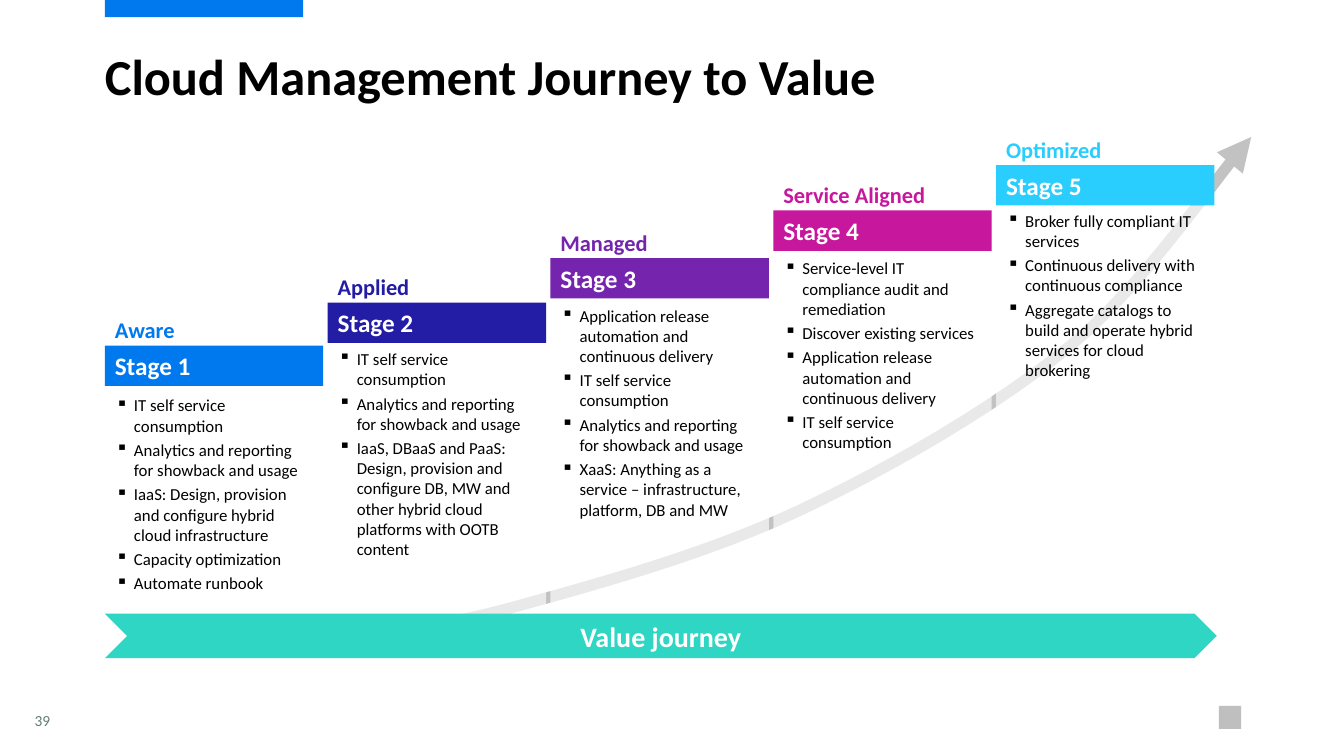
from dataclasses import dataclass

from lxml.etree import SubElement
from pptx import Presentation
from pptx.dml.color import RGBColor
from pptx.enum.shapes import MSO_SHAPE as Shape
from pptx.enum.text import MSO_ANCHOR as Anchor, PP_ALIGN as Align
from pptx.oxml.ns import qn
from pptx.util import Inches, Pt

WIDTH, HEIGHT = 13.33, 7.5
MARGIN, COLUMN, ROW = 1.04, 2.21, 0.45
STAGE_WIDTH = 0.98
BAR_HEIGHT = 0.89
BODY_BOTTOM = 14.02
BLUE, GREY = "0079EF", "BFBFBF"


@dataclass(frozen=True)
class Area:
    """A place on the grid, in columns from the margin and rows from the top."""
    column: float
    row: float
    columns: float
    rows: float

    def box(self) -> tuple:
        return (Inches(MARGIN + self.column * COLUMN), Inches(self.row * ROW),
                Inches(self.columns * COLUMN), Inches(self.rows * ROW))


@dataclass(frozen=True)
class Stage:
    name: str
    color: str
    bar_row: float
    body_row: float
    points: tuple[str, ...]


STAGES = (
    Stage("Aware", BLUE, 7.62, 8.6, (
        "IT self service consumption",
        "Analytics and reporting for showback and usage",
        "IaaS: Design, provision and configure hybrid cloud infrastructure",
        "Capacity optimization",
        "Automate runbook")),
    Stage("Applied", "231CA5", 6.67, 7.58, (
        "IT self service consumption",
        "Analytics and reporting for showback and usage",
        "IaaS, DBaaS and PaaS: Design, provision and configure DB, MW and "
        "other hybrid cloud platforms with OOTB content")),
    Stage("Managed", "7424AD", 5.69, 6.62, (
        "Application release automation and continuous delivery",
        "IT self service consumption",
        "Analytics and reporting for showback and usage",
        "XaaS: Anything as a service – infrastructure, platform, DB and MW")),
    Stage("Service Aligned", "C6179D", 4.64, 5.58, (
        "Service-level IT compliance audit and remediation",
        "Discover existing services",
        "Application release automation and continuous delivery",
        "IT self service consumption")),
    Stage("Optimized", "29CEFE", 3.64, 4.53, (
        "Broker fully compliant IT services",
        "Continuous delivery with continuous compliance",
        "Aggregate catalogs to build and operate hybrid services for cloud "
        "brokering")),
)

# Bezier knots and handles of the rising curve, in percent of the slide
CURVE = (
    (9.83, 85.47), (15.3, 85.2), (20.71, 85.07), (25.58, 84.13),
    (30.38, 83.2), (33.23, 82.8), (38.86, 80),
    (44.56, 77.2), (52.74, 73.2), (59.56, 67.47),
    (66.39, 61.73), (74.19, 53.73), (79.74, 45.6),
    (85.37, 37.33), (90.92, 22.27), (93.1, 18.13),
)


def rgb(color: str) -> RGBColor:
    return RGBColor.from_string(color)


def set_opacity(element, percent: int) -> None:
    for color in element.iter(qn("a:srgbClr")):
        SubElement(color, qn("a:alpha"), val=str(percent * 1000))


def add_block(page, area: Area, color: str, kind=Shape.RECTANGLE):
    block = page.shapes.add_shape(kind, *area.box())
    block.shadow.inherit = False
    block.fill.solid()
    block.fill.fore_color.rgb = rgb(color)
    block.line.fill.background()
    return block


def write(box, *texts: str, size: float, color: str, bold: bool = False,
          align=Align.LEFT, anchor=Anchor.TOP, bullet: str = "",
          spacing: float = 1.0) -> None:
    frame = box.text_frame
    frame.word_wrap = True
    frame.vertical_anchor = anchor
    for index, text in enumerate(texts):
        para = frame.add_paragraph() if index else frame.paragraphs[0]
        para.alignment = align
        para.line_spacing = spacing
        if index:
            para.space_before = Pt(3)
        if bullet:
            props = para._p.get_or_add_pPr()
            props.set("marL", str(Inches(0.19)))
            props.set("indent", str(Inches(-0.18)))
            SubElement(props, qn("a:buChar"), char=bullet)
        span = para.add_run()
        span.text = text
        font = span.font
        font.name, font.size, font.bold = "Calibri", Pt(size), bold
        font.color.rgb = rgb(color)


def add_label(page, area: Area, text: str, **style):
    box = page.shapes.add_textbox(*area.box())
    write(box, text, **style)
    return box


def bezier(knots: tuple, share: float) -> tuple[float, float]:
    rest = 1 - share
    weights = (rest ** 3, 3 * rest ** 2 * share, 3 * rest * share ** 2, share ** 3)
    x, y = (sum(w * knot[axis] for w, knot in zip(weights, knots))
            for axis in (0, 1))
    return Inches(x / 100 * WIDTH), Inches(y / 100 * HEIGHT)


def add_curve(page, steps: int = 12) -> None:
    points = [bezier(CURVE[start:start + 4], step / steps)
              for start in range(0, len(CURVE) - 1, 3)
              for step in range(1, steps + 1)]
    builder = page.shapes.build_freeform(*bezier(CURVE[:4], 0))
    builder.add_line_segments(points, close=False)
    curve = builder.convert_to_shape()
    curve.shadow.inherit = False
    curve.fill.background()
    curve.line.color.rgb = rgb("808080")
    curve.line.width = Pt(8)
    outline = curve.line._get_or_add_ln()
    set_opacity(outline, 48)
    SubElement(outline, qn("a:round"))
    SubElement(outline, qn("a:tailEnd"), type="triangle")


def add_stage(page, number: int, stage: Stage) -> None:
    column = number - 1
    body = add_block(page, Area(column, stage.body_row, STAGE_WIDTH,
                                BODY_BOTTOM - stage.body_row), "FFFFFF")
    set_opacity(body.fill._xPr, 65)
    write(body, *stage.points, size=12, color="000000", bullet="▪")
    bar = add_block(page, Area(column, stage.bar_row, STAGE_WIDTH, BAR_HEIGHT),
                    stage.color)
    write(bar, f"Stage {number}", size=18, color="FFFFFF", bold=True,
          anchor=Anchor.MIDDLE)
    add_label(page, Area(column, stage.bar_row - 0.75, STAGE_WIDTH, 0.82),
              stage.name, size=16, color=stage.color, bold=True)


def main() -> None:
    deck = Presentation()
    deck.slide_width, deck.slide_height = Inches(WIDTH), Inches(HEIGHT)
    page = deck.slides.add_slide(deck.slide_layouts[6])

    add_block(page, Area(0, 0, 0.89, 0.38), BLUE)
    add_block(page, Area(5, 15.56, 0.1, 0.51), GREY)
    add_curve(page)
    title = add_label(page, Area(0, 1.04, 5.1, 2.62),
                      "Cloud Management Journey to Value",
                      size=36, color="000000", bold=True, spacing=0.9)
    title.text_frame.margin_left = 0
    add_label(page, Area(-0.36, 15.44, 0.18, 0.89), "39", size=11,
              color="617D78", anchor=Anchor.MIDDLE)

    for number, stage in enumerate(STAGES, start=1):
        add_stage(page, number, stage)

    journey = add_block(page, Area(0, 13.53, 4.99, 0.98), "2FD6C3", Shape.CHEVRON)
    write(journey, "Value journey", size=20, color="FFFFFF", bold=True,
          align=Align.CENTER, anchor=Anchor.MIDDLE)
    deck.save("out.pptx")


if __name__ == "__main__":
    main()
